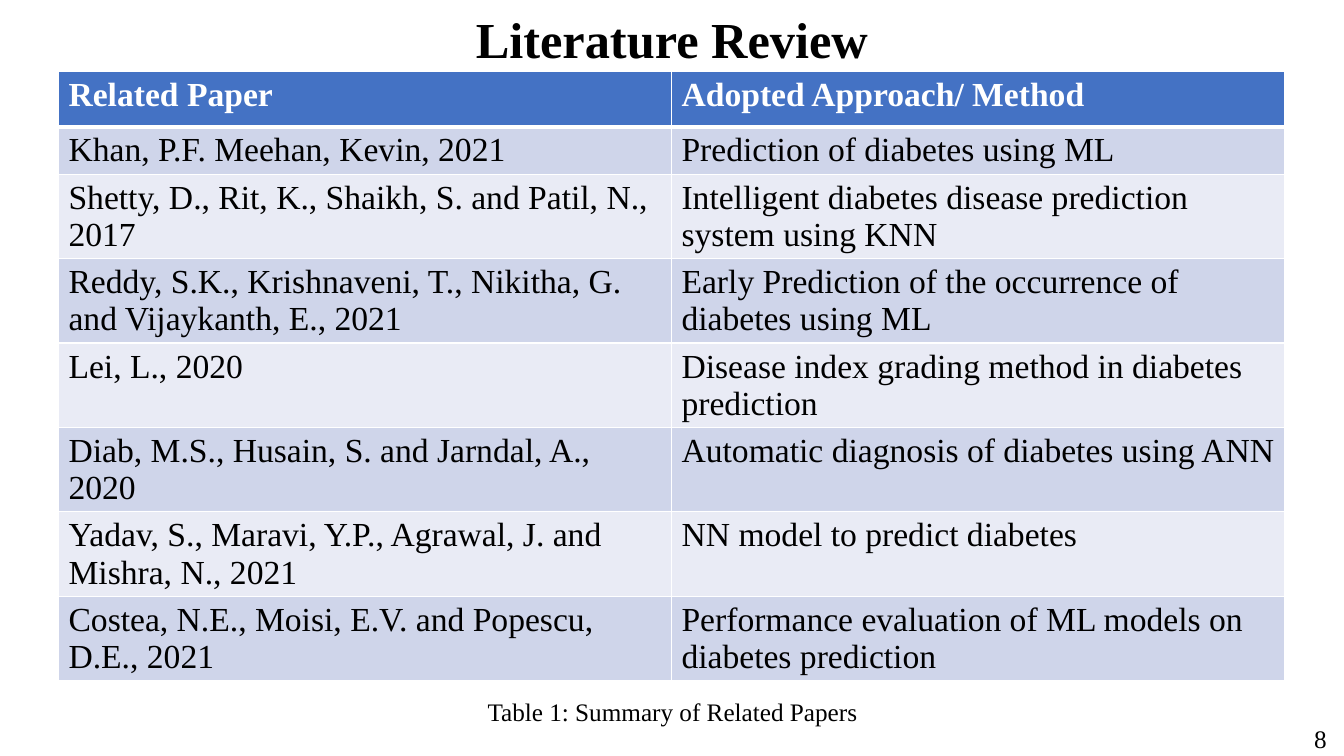
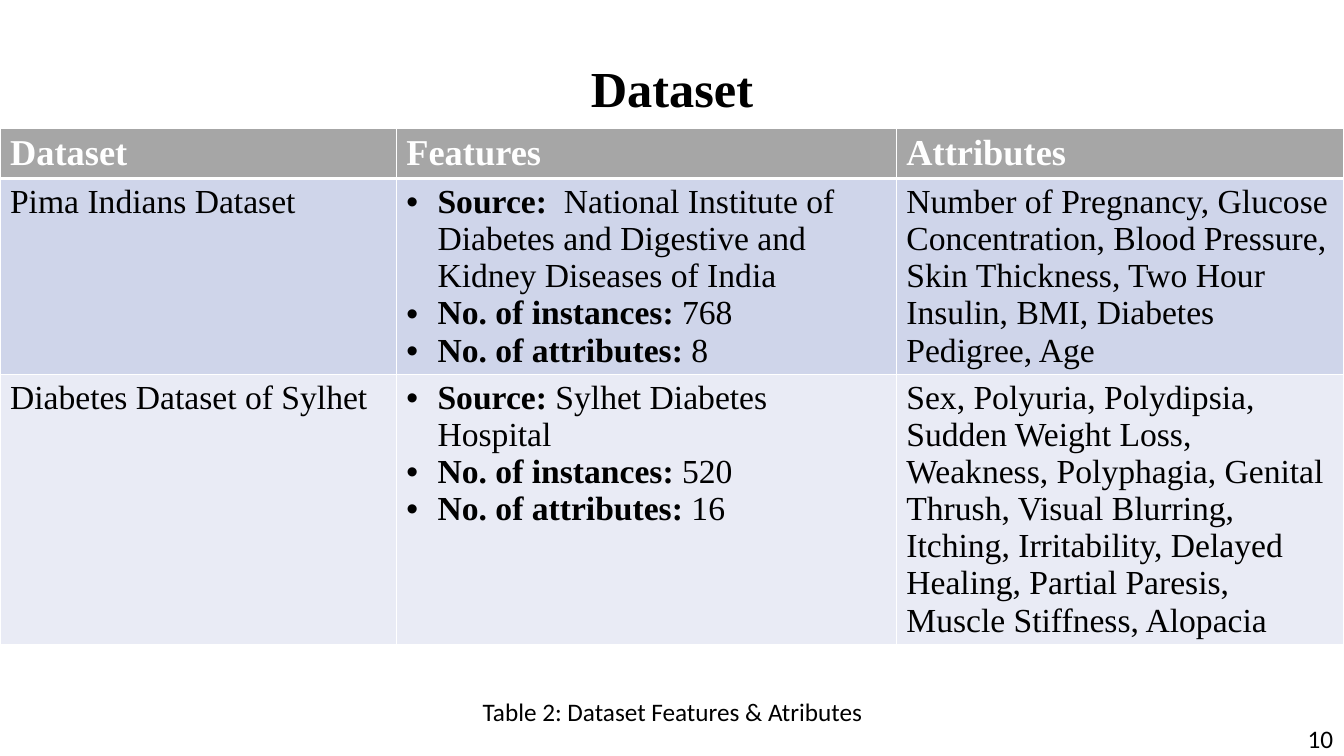
from pptx import Presentation
from pptx.dml.color import RGBColor
from pptx.enum.shapes import MSO_SHAPE as Shape
from pptx.enum.text import MSO_ANCHOR as Anchor, MSO_AUTO_SIZE as AutoSize, PP_ALIGN as Align
from pptx.oxml.ns import qn
from pptx.util import Inches, Pt
from lxml.etree import SubElement

COLORS = {
    "text": "000000",
    "white": "FFFFFF",
    "blue": "4472C4",
    "grey": "A6A6A6",
    "odd_row": "CFD5EA",
    "even_row": "E9EBF5",
}
SERIF, SANS = "Times New Roman", "Calibri"
PAGE_WIDTH, PAGE_HEIGHT = 13.33, 7.5

PAPERS = [
    ("Related Paper", "Adopted Approach/ Method"),
    ("Khan, P.F. Meehan, Kevin, 2021", "Prediction of diabetes using ML"),
    ("Shetty, D., Rit, K., Shaikh, S. and Patil, N., 2017",
     "Intelligent diabetes disease prediction system using KNN"),
    ("Reddy, S.K., Krishnaveni, T., Nikitha, G. and Vijaykanth, E., 2021",
     "Early Prediction of the occurrence of diabetes using ML"),
    ("Lei, L., 2020", "Disease index grading method in diabetes prediction"),
    ("Diab, M.S., Husain, S. and Jarndal, A., 2020", "Automatic diagnosis of diabetes using ANN"),
    ("Yadav, S., Maravi, Y.P., Agrawal, J. and Mishra, N., 2021", "NN model to predict diabetes"),
    ("Costea, N.E., Moisi, E.V. and Popescu, D.E., 2021",
     "Performance evaluation of ML models on diabetes prediction"),
]


def features(source, instances, attributes):
    return [("Source: ", source), ("No. of instances: ", instances),
            ("No. of attributes: ", attributes)]


DATASETS = [
    ("Dataset", "Features", "Attributes"),
    ("Pima Indians Dataset",
     features(" National Institute of Diabetes and Digestive and Kidney Diseases of India", "768", "8"),
     "Number of Pregnancy, Glucose Concentration, Blood Pressure, Skin Thickness, "
     "Two Hour Insulin, BMI, Diabetes Pedigree, Age"),
    ("Diabetes Dataset of Sylhet",
     features("Sylhet Diabetes Hospital", "520", "16"),
     "Sex, Polyuria, Polydipsia, Sudden Weight Loss, Weakness, Polyphagia, Genital Thrush, "
     "Visual Blurring, Itching, Irritability, Delayed Healing, Partial Paresis, "
     "Muscle Stiffness, Alopacia"),
]


def color(name):
    return RGBColor.from_string(COLORS[name])


def write(para, text, size=24, font=SERIF, fill="text", bold=False, align=None):
    if align is not None:
        para.alignment = align
    span = para.add_run()
    span.text = text
    span.font.size = Pt(size)
    span.font.name = font
    span.font.bold = bold
    span.font.color.rgb = color(fill)


def write_bullets(frame, items):
    for index, (label, value) in enumerate(items):
        para = frame.add_paragraph() if index else frame.paragraphs[0]
        write(para, label, bold=True)
        write(para, value)
        props = para._p.get_or_add_pPr()
        props.set("marL", str(Inches(0.31)))
        props.set("indent", str(-Inches(0.31)))
        SubElement(props, qn("a:buFont")).set("typeface", "Arial")
        SubElement(props, qn("a:buChar")).set("char", "•")


def set_borders(cell, top=1, bottom=1):
    props = cell._tc.get_or_add_tcPr()
    widths = {"lnL": 1, "lnR": 1, "lnT": top, "lnB": bottom}
    for index, (side, width) in enumerate(widths.items()):
        line = SubElement(props, qn(f"a:{side}"))
        line.set("w", str(Pt(width)))
        SubElement(SubElement(line, qn("a:solidFill")), qn("a:srgbClr")).set("val", COLORS["white"])
        props.insert(index, line)


def paint_white(shape, outlined=True):
    shape.fill.solid()
    shape.fill.fore_color.rgb = color("white")
    if outlined:
        shape.line.color.rgb = color("white")
        shape.line.width = Pt(1)
    else:
        shape.line.fill.background()


def add_title(page, text, text_top):
    title = page.shapes.title
    title.left, title.top = Inches(0), Inches(0)
    title.width, title.height = Inches(PAGE_WIDTH), Inches(PAGE_HEIGHT)
    paint_white(title)
    frame = title.text_frame
    frame.auto_size = AutoSize.NONE
    frame.margin_top = Inches(text_top)
    frame.vertical_anchor = Anchor.TOP
    write(frame.paragraphs[0], text, size=36, bold=True, align=Align.CENTER)


def add_label(page, text, box, font, outlined):
    label = page.shapes.add_shape(Shape.RECTANGLE, *map(Inches, box))
    label.shadow.inherit = False
    paint_white(label, outlined)
    frame = label.text_frame
    frame.word_wrap = True
    frame.vertical_anchor = Anchor.MIDDLE
    write(frame.paragraphs[0], text, size=18, font=font, align=Align.CENTER)


def add_grid(page, rows, left, top, widths, heights, header_fill, header_size):
    box = map(Inches, (left, top, sum(widths), sum(heights)))
    table = page.shapes.add_table(len(rows), len(widths), *box).table
    for column, width in zip(table.columns, widths):
        column.width = Inches(width)
    for row, height in zip(table.rows, heights):
        row.height = Inches(height)
    for row_index, row in enumerate(rows):
        header = row_index == 0
        fill = header_fill if header else "odd_row" if row_index % 2 else "even_row"
        for column_index, content in enumerate(row):
            cell = table.cell(row_index, column_index)
            cell.fill.solid()
            cell.fill.fore_color.rgb = color(fill)
            set_borders(cell, top=3 if row_index == 1 else 1, bottom=3 if header else 1)
            if isinstance(content, list):
                write_bullets(cell.text_frame, content)
            elif header:
                write(cell.text_frame.paragraphs[0], content, size=header_size,
                      fill="white", bold=True)
            else:
                write(cell.text_frame.paragraphs[0], content)


def add_table_page(deck, title, title_top, caption, number, font, **grid):
    page = deck.slides.add_slide(deck.slide_layouts[5])
    add_title(page, title, title_top)
    add_grid(page, **grid)
    add_label(page, caption, (4.43, 6.79, 4.48, 0.54), font, outlined=False)
    add_label(page, number, (12.85, 7.16, 0.49, 0.34), font, outlined=True)


def main():
    deck = Presentation()
    deck.slide_width, deck.slide_height = Inches(PAGE_WIDTH), Inches(PAGE_HEIGHT)
    add_table_page(deck, "Literature Review", 0.08, "Table 1: Summary of Related Papers", "8", SERIF,
                   rows=PAPERS, left=0.58, top=0.71, widths=[6.08] * 2,
                   heights=[0.55] + [0.45] * 7, header_fill="blue", header_size=24)
    add_table_page(deck, "Dataset", 0.57, "Table 2: Dataset Features & Atributes", "10", SANS,
                   rows=DATASETS, left=0, top=1.27, widths=[3.93, 4.96, 4.44],
                   heights=[0.43, 0.41, 0.41], header_fill="grey", header_size=26)
    deck.save("out.pptx")


if __name__ == "__main__":
    main()
